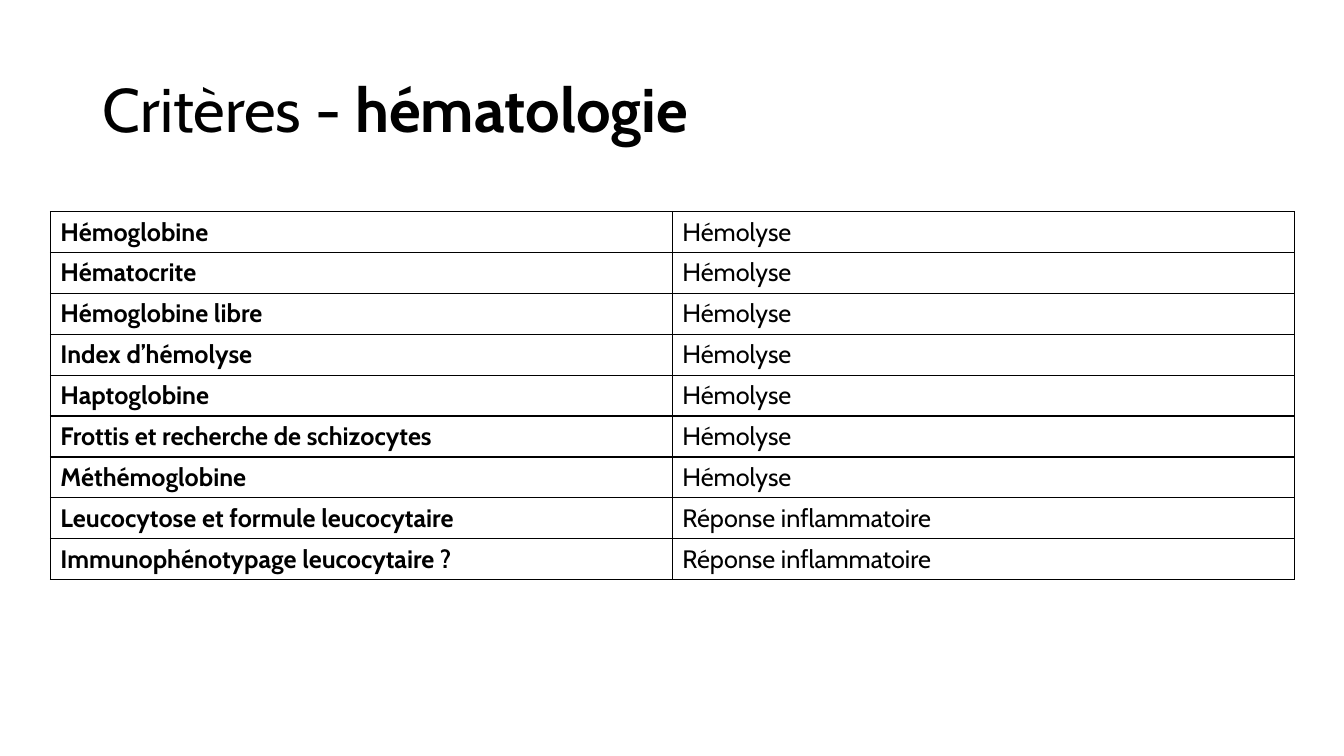
from dataclasses import dataclass

from lxml import etree
from pptx import Presentation
from pptx.dml.color import RGBColor
from pptx.enum.text import MSO_ANCHOR, MSO_AUTO_SIZE, PP_ALIGN
from pptx.oxml.ns import qn
from pptx.util import Inches, Pt

LEFT = PP_ALIGN.LEFT
MIDDLE = MSO_ANCHOR.MIDDLE
NO_AUTOFIT = MSO_AUTO_SIZE.NONE
TITLE_ONLY = 5

COLORS = {"text": "000000", "border": "000000"}
FONT = "Cabin"
SLIDE_W, SLIDE_H = Inches(13.333), Inches(7.5)
COL_W, ROW_H = Inches(6.17), Inches(0.4)
BORDER_SIDES = ("lnL", "lnR", "lnT", "lnB")


@dataclass(frozen=True)
class Criterion:
    name: str
    purpose: str = "Hémolyse"


CRITERIA = [
    Criterion("Hémoglobine"),
    Criterion("Hématocrite"),
    Criterion("Hémoglobine libre"),
    Criterion("Index d’hémolyse"),
    Criterion("Haptoglobine"),
    Criterion("Frottis et recherche de schizocytes"),
    Criterion("Méthémoglobine"),
    Criterion("Leucocytose et formule leucocytaire", "Réponse inflammatoire"),
    Criterion("Immunophénotypage leucocytaire ?", "Réponse inflammatoire"),
]


def add_run(p, text: str, size: int, bold: bool) -> None:
    r = p.add_run()
    r.text = text
    for key, value in {"name": FONT, "size": Pt(size), "bold": bold}.items():
        setattr(r.font, key, value)
    r.font.color.rgb = RGBColor.from_string(COLORS["text"])


def add_borders(cell, width: float) -> None:
    tc_pr = cell._tc.get_or_add_tcPr()
    for side in BORDER_SIDES:
        ln = etree.SubElement(tc_pr, qn(f"a:{side}"), w=str(Pt(width)))
        fill = etree.SubElement(ln, qn("a:solidFill"))
        etree.SubElement(fill, qn("a:srgbClr"), val=COLORS["border"])


def add_title(slide) -> None:
    sp = slide.shapes.title
    box = {
        "left": int(SLIDE_W * 0.069),
        "top": int(SLIDE_H * 0.053),
        "width": int(SLIDE_W * 0.8625),
        "height": int(SLIDE_H * 0.193),
    }
    for key, value in box.items():
        setattr(sp, key, value)
    tf = sp.text_frame
    frame = {"word_wrap": True, "auto_size": NO_AUTOFIT, "vertical_anchor": MIDDLE}
    for key, value in frame.items():
        setattr(tf, key, value)
    p = tf.paragraphs[0]
    p.alignment = LEFT
    p.line_spacing = 0.9
    add_run(p, "Critères - ", 44, False)
    add_run(p, "hématologie", 44, True)


def add_criteria_table(slide, criteria: list[Criterion]) -> None:
    frame = slide.shapes.add_table(
        len(criteria), 2, int(SLIDE_W * 0.0375), int(SLIDE_H * 0.28),
        COL_W * 2, ROW_H * len(criteria),
    )
    table = frame.table
    table.first_row = False
    table.horz_banding = False
    for row, criterion in zip(table.rows, criteria):
        for col, text in enumerate((criterion.name, criterion.purpose)):
            cell = row.cells[col]
            add_run(cell.text_frame.paragraphs[0], text, 18, col == 0)
            add_borders(cell, 1)
            cell.fill.background()


def main() -> None:
    prs = Presentation()
    prs.slide_width, prs.slide_height = SLIDE_W, SLIDE_H
    slide = prs.slides.add_slide(prs.slide_layouts[TITLE_ONLY])
    add_title(slide)
    add_criteria_table(slide, CRITERIA)
    prs.save("out.pptx")


if __name__ == "__main__":
    main()
